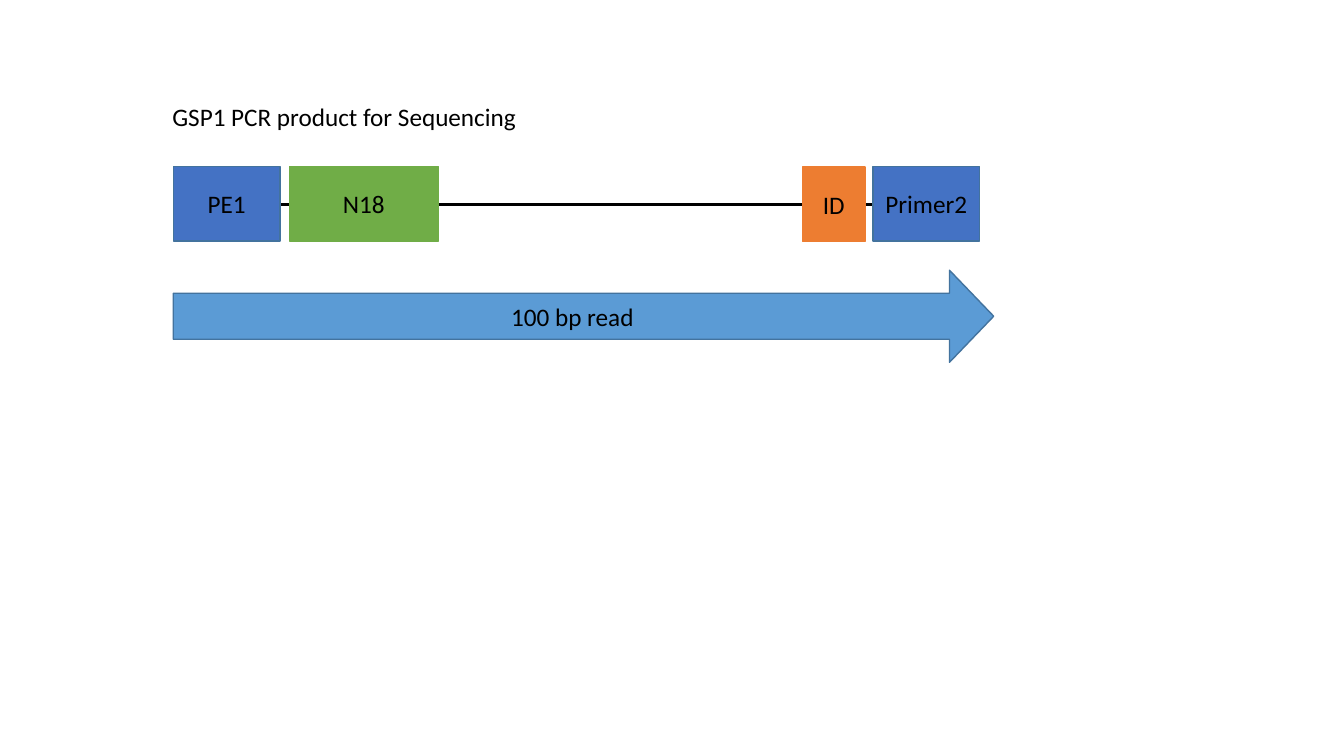
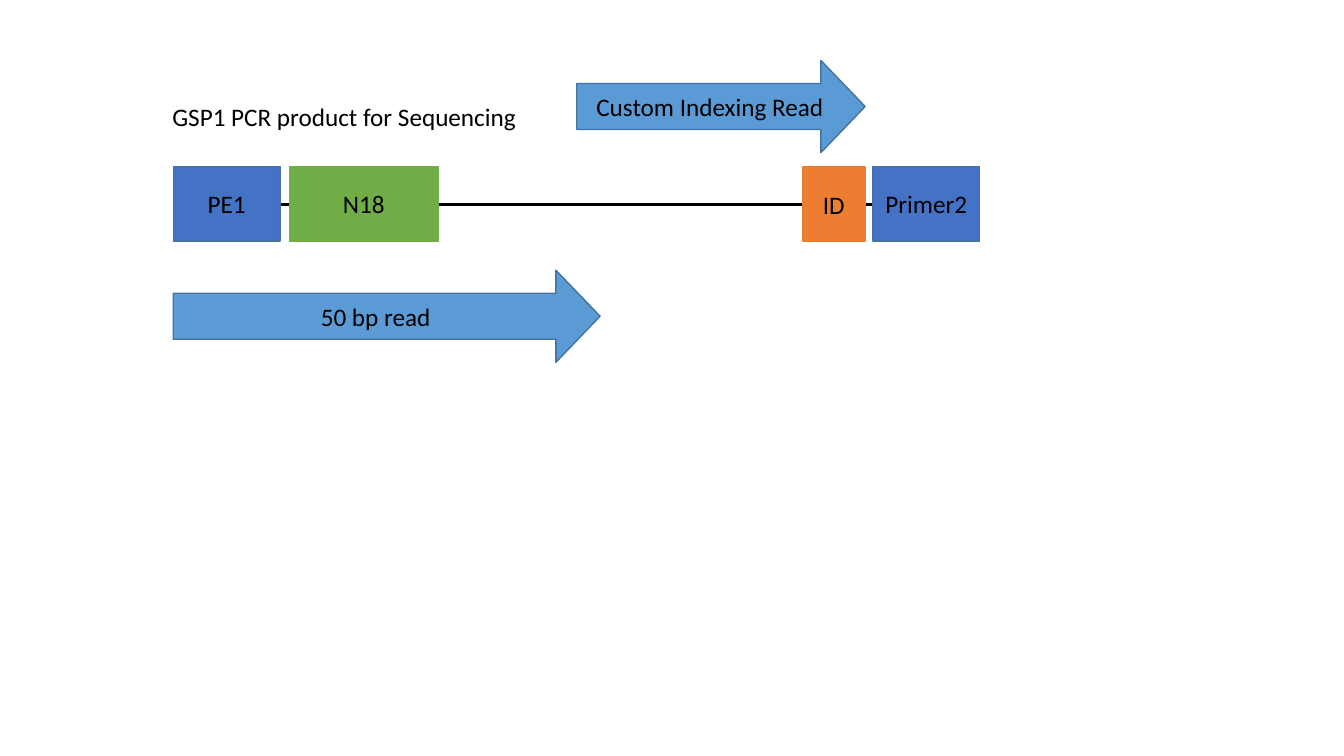
from lxml.etree import SubElement
from pptx import Presentation
from pptx.dml.color import RGBColor
from pptx.enum.shapes import MSO_CONNECTOR, MSO_SHAPE
from pptx.enum.text import MSO_ANCHOR, MSO_AUTO_SIZE, PP_ALIGN
from pptx.oxml.ns import qn
from pptx.util import Pt

BLACK, BLUE, GREEN, ORANGE = "000000", "4472C4", "70AD47", "ED7D31"
ARROW_BLUE, EDGE = "5B9BD5", "43739E"
LEFT, WIDTH = 123.8, 576
TITLE_BOX = (115.9, 69.1, 262.8, 29)
PRODUCT_BOX = (LEFT, 118.8, WIDTH, 53.3)
READ_TOP, READ_HEIGHT = 193, 65.8
PRIMER_W, N18_W, ID_W = 76.3, 106.6, 44.6
GAP, ID_GAP, ID_DROP = 6.5, 5.6, 0.6


def rgb(color):
    """Turn a hex string into a colour."""
    return RGBColor.from_string(color)


def style_text(tf, align, anchor):
    """Apply the shared font and the given alignment to a text frame."""
    tf.vertical_anchor = anchor
    for p in tf.paragraphs:
        p.alignment = align
        for r in p.runs:
            r.font.name, r.font.size = "Calibri", Pt(18)
            r.font.color.rgb = rgb(BLACK)


def add_label_shape(s, kind, box, text, fill, edge):
    """Add a filled shape with a centred label."""
    sp = s.shapes.add_shape(kind, *map(Pt, box))
    sp.shadow.inherit = False
    sp.fill.solid()
    sp.fill.fore_color.rgb = rgb(fill)
    sp.line.color.rgb = rgb(edge)
    sp.line.width = Pt(1)
    sp.text_frame.text = text
    style_text(sp.text_frame, PP_ALIGN.CENTER, MSO_ANCHOR.MIDDLE)
    return sp


def add_title(s, box, text):
    """Place the heading in the title placeholder."""
    title = s.shapes.title
    title.left, title.top, title.width, title.height = map(Pt, box)
    tf = title.text_frame
    tf.text = text
    tf.word_wrap = False
    tf.auto_size = MSO_AUTO_SIZE.SHAPE_TO_FIT_TEXT
    style_text(tf, PP_ALIGN.LEFT, MSO_ANCHOR.TOP)


def add_product(s, box):
    """Draw the PCR product as a strand with its labelled segments."""
    x, y, w, h = box
    mid = y + h / 2 + 0.5
    strand = s.shapes.add_connector(
        MSO_CONNECTOR.STRAIGHT, Pt(x), Pt(mid), Pt(x + w), Pt(mid))
    strand.line.color.rgb = rgb(BLACK)
    strand.line.width = Pt(2)
    SubElement(strand._element.spPr, qn("a:effectLst"))

    primer_x = x + w - PRIMER_W
    segments = [
        ("PE1", x, y, PRIMER_W, BLUE, EDGE),
        ("N18", x + PRIMER_W + GAP, y, N18_W, GREEN, GREEN),
        ("ID", primer_x - ID_GAP - ID_W, y + ID_DROP, ID_W, ORANGE, ORANGE),
        ("Primer2", primer_x, y, PRIMER_W, BLUE, EDGE),
    ]
    for text, left, top, width, fill, edge in segments:
        add_label_shape(s, MSO_SHAPE.RECTANGLE, (left, top, width, h),
                        text, fill, edge)


def add_read(s, box, text):
    """Draw one sequencing read as a right arrow."""
    arrow = add_label_shape(s, MSO_SHAPE.RIGHT_ARROW, box, text, ARROW_BLUE, EDGE)
    arrow.adjustments[0] = 0.5
    arrow.adjustments[1] = 0.48


def add_product_slide(prs, reads):
    """Build a slide with the product and its reads."""
    s = prs.slides.add_slide(prs.slide_layouts[5])
    add_title(s, TITLE_BOX, "GSP1 PCR product for Sequencing")
    add_product(s, PRODUCT_BOX)
    for text, left, top, width in reads:
        add_read(s, (left, top, width, READ_HEIGHT), text)


def main():
    """Build and save the presentation."""
    prs = Presentation()
    prs.slide_width, prs.slide_height = Pt(960), Pt(540)
    add_product_slide(prs, [("100 bp read", LEFT, READ_TOP, 586)])
    add_product_slide(prs, [
        ("50 bp read", LEFT, READ_TOP, 304.9),
        ("Custom Indexing Read", 412, 43.2, 206),
    ])
    prs.save("out.pptx")


if __name__ == "__main__":
    main()
